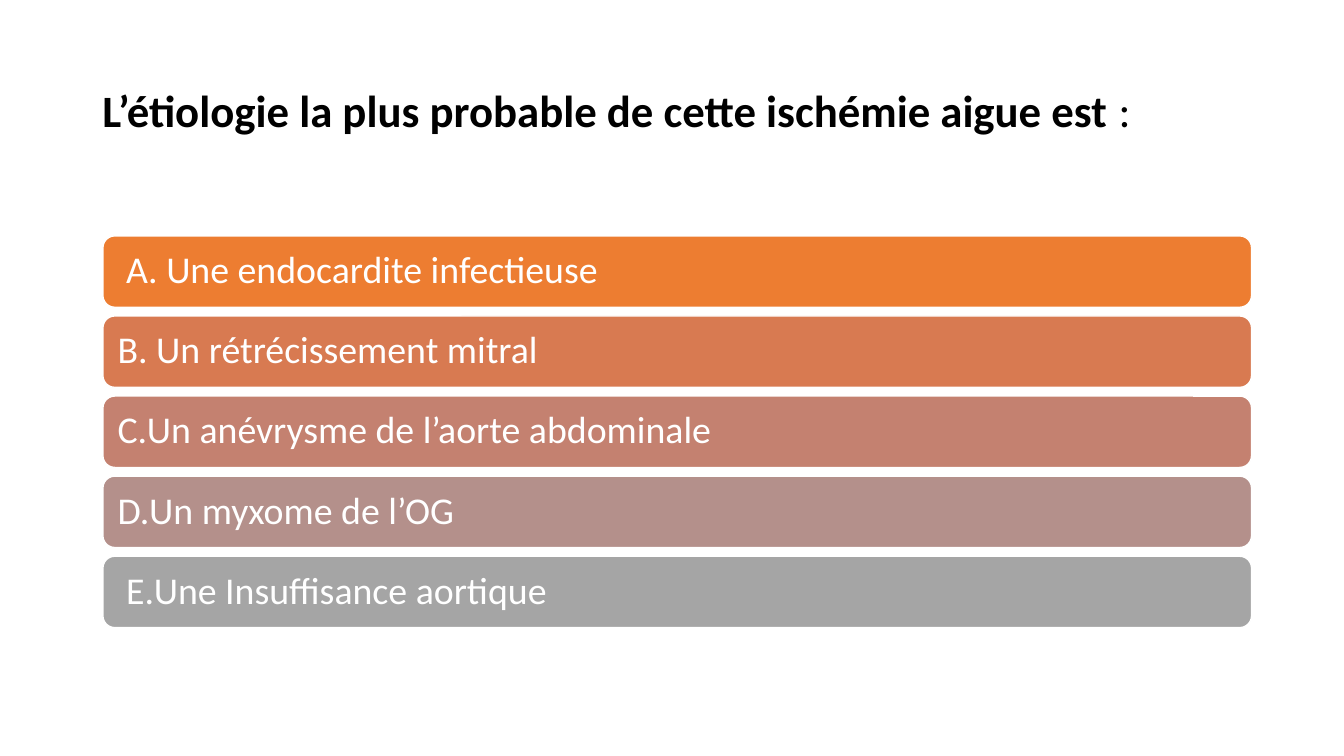
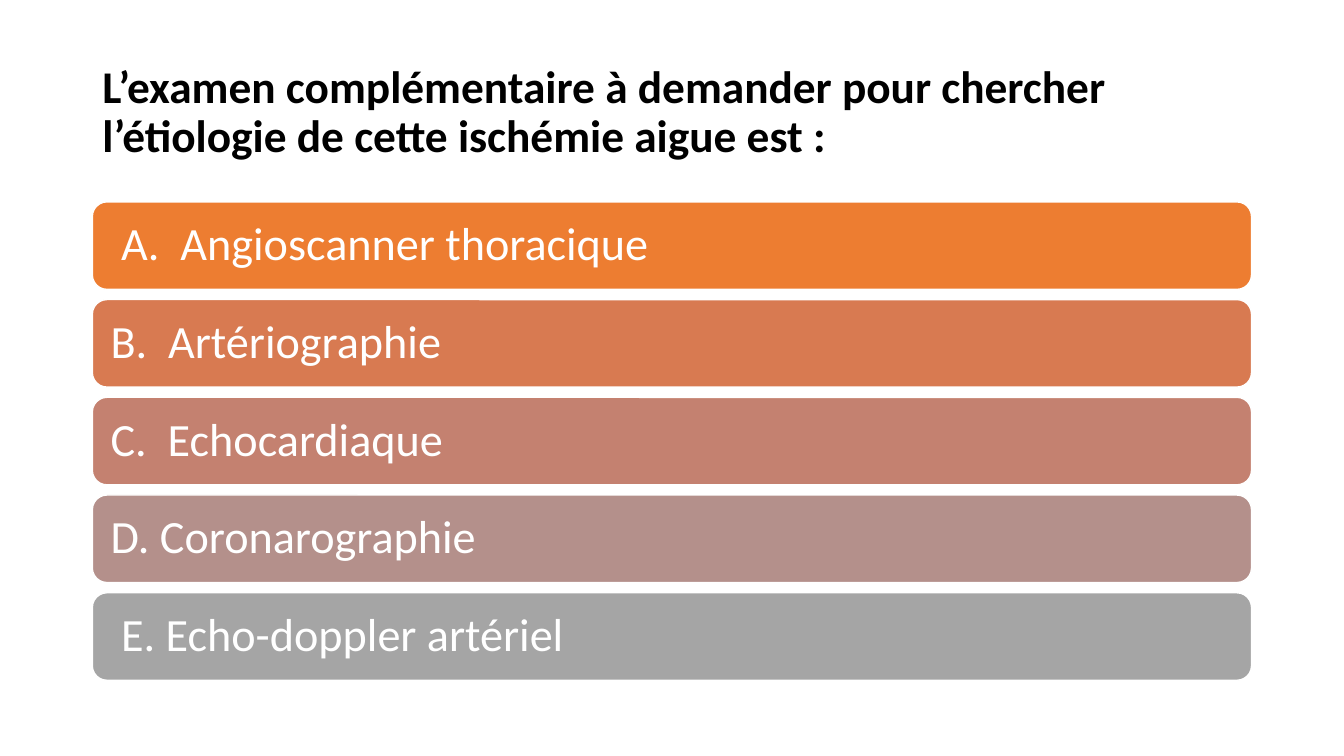
from pptx import Presentation
from pptx.dml.color import RGBColor
from pptx.enum.shapes import MSO_SHAPE
from pptx.enum.text import MSO_ANCHOR, MSO_AUTO_SIZE, PP_ALIGN
from pptx.util import Pt

ROUNDED = MSO_SHAPE.ROUNDED_RECTANGLE
MIDDLE = MSO_ANCHOR.MIDDLE
NO_FIT = MSO_AUTO_SIZE.NONE
LEFT = PP_ALIGN.LEFT

BLACK = RGBColor(0x00, 0x00, 0x00)
WHITE = RGBColor(0xFF, 0xFF, 0xFF)
ANSWER_COLOURS = [
    RGBColor(0xED, 0x7D, 0x31),
    RGBColor(0xD8, 0x7A, 0x51),
    RGBColor(0xC4, 0x81, 0x70),
    RGBColor(0xB4, 0x90, 0x8B),
    RGBColor(0xA5, 0xA5, 0xA5),
]
FONT = "Calibri"
TITLE_ONLY = 5

QUESTIONS = [
    {
        "question": "L’étiologie la plus probable de cette ischémie aigue est ",
        "ending": ":",
        "question_size": 32,
        "answers": [
            " A. Une endocardite infectieuse",
            "B. Un rétrécissement mitral",
            "C.Un anévrysme de l’aorte abdominale",
            "D.Un myxome de l’OG",
            " E.Une Insuffisance aortique",
        ],
        "answer_size": 27,
        "left": 73.5, "top": 168.5, "width": 820.5, "height": 51, "pitch": 57.2,
        "margin": 8,
    },
    {
        "question": "L’examen complémentaire à demander pour chercher "
                    "l’étiologie de cette ischémie aigue est :",
        "ending": "",
        "question_size": 32.4,
        "answers": [
            " A.  Angioscanner thoracique",
            "B.  Artériographie",
            "C.  Echocardiaque",
            "D. Coronarographie",
            " E. Echo-doppler artériel",
        ],
        "answer_size": 33,
        "left": 66, "top": 144.2, "width": 828, "height": 62.5, "pitch": 69.8,
        "margin": 10,
    },
]


def add_text(text, *, paragraph, size, colour, bold=False):
    paragraph.alignment = LEFT
    paragraph.line_spacing = 0.9
    run = paragraph.add_run()
    run.text = text
    run.font.name = FONT
    run.font.size = Pt(size)
    run.font.bold = bold
    run.font.color.rgb = colour


prs = Presentation()
prs.slide_width, prs.slide_height = Pt(960), Pt(540)

for item in QUESTIONS:
    slide = prs.slides.add_slide(prs.slide_layouts[TITLE_ONLY])

    title = slide.shapes.title
    title.left, title.top, title.width, title.height = Pt(66), Pt(28.8), Pt(828), Pt(104.4)
    title.text_frame.vertical_anchor = MIDDLE
    title.text_frame.word_wrap = True
    title.text_frame.auto_size = NO_FIT
    heading = title.text_frame.paragraphs[0]
    add_text(item["question"], paragraph=heading, size=item["question_size"],
             colour=BLACK, bold=True)
    if item["ending"]:
        add_text(item["ending"], paragraph=heading, size=item["question_size"], colour=BLACK)

    for row, (answer, colour) in enumerate(zip(item["answers"], ANSWER_COLOURS)):
        bar = slide.shapes.add_shape(
            ROUNDED, Pt(item["left"]), Pt(item["top"] + row * item["pitch"]),
            Pt(item["width"]), Pt(item["height"]))
        bar.shadow.inherit = False
        bar.fill.solid()
        bar.fill.fore_color.rgb = colour
        bar.line.color.rgb = WHITE
        bar.line.width = Pt(1)
        frame = bar.text_frame
        frame.word_wrap = True
        frame.vertical_anchor = MIDDLE
        frame.margin_left = frame.margin_right = Pt(item["margin"])
        frame.margin_top = frame.margin_bottom = 0
        add_text(answer, paragraph=frame.paragraphs[0], size=item["answer_size"], colour=WHITE)

prs.save("out.pptx")
